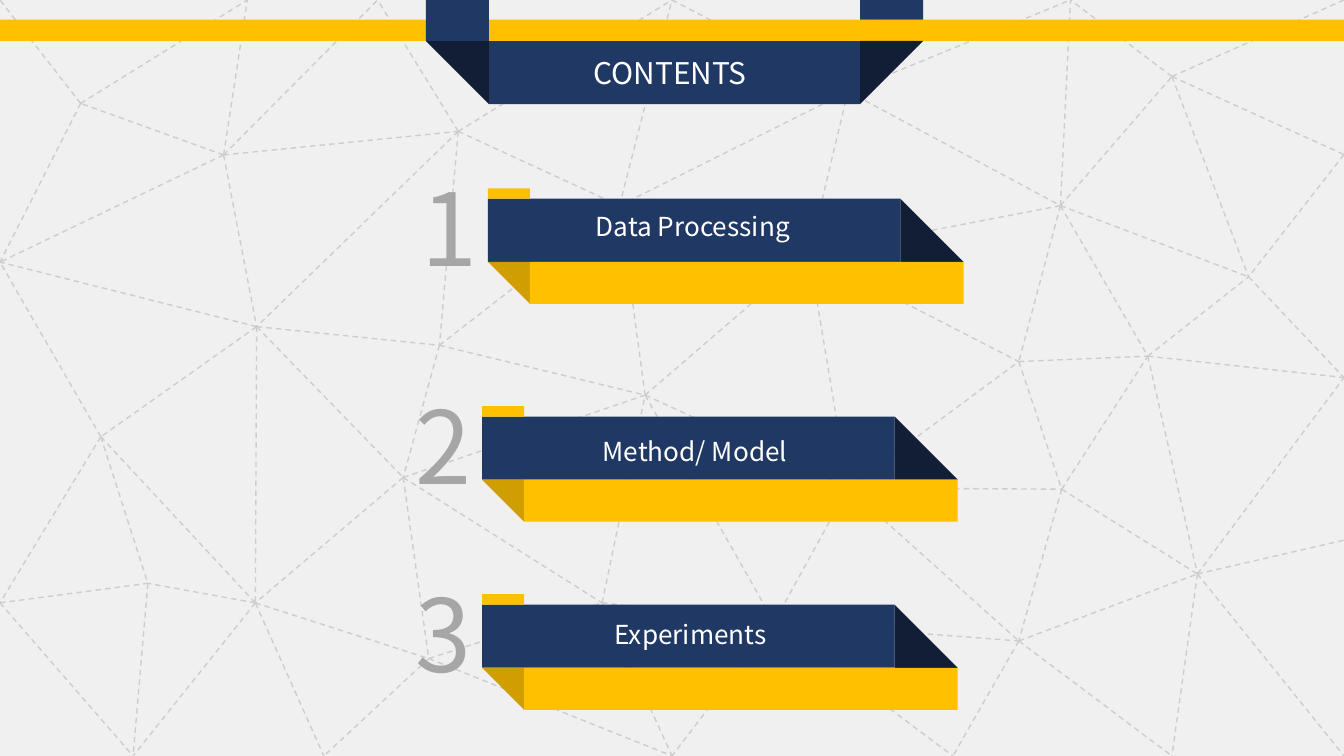
from dataclasses import dataclass

from lxml import etree
from pptx import Presentation
from pptx.dml.color import RGBColor
from pptx.enum.dml import MSO_LINE
from pptx.enum.shapes import MSO_CONNECTOR, MSO_SHAPE
from pptx.enum.text import MSO_ANCHOR, MSO_AUTO_SIZE, PP_ALIGN
from pptx.oxml.ns import qn
from pptx.util import Pt

RECT = MSO_SHAPE.RECTANGLE
FOLD = MSO_SHAPE.RIGHT_TRIANGLE
LINE = MSO_CONNECTOR.STRAIGHT
DASH = MSO_LINE.DASH
LEFT = PP_ALIGN.LEFT
MID = PP_ALIGN.CENTER
TOP = MSO_ANCHOR.TOP
GROW = MSO_AUTO_SIZE.SHAPE_TO_FIT_TEXT


@dataclass(frozen=True)
class Theme:
    font: str = "Noto Sans CJK SC"
    page: str = "F0F0F0"
    mesh: str = "CDCDCD"
    navy: str = "203864"
    dark: str = "111E35"
    gold: str = "FFC000"
    shade: str = "D09E00"
    gray: str = "A6A6A6"
    white: str = "FFFFFF"
    title: int = 16
    label: int = 14
    digit: int = 54


THEME = Theme()
WIDE, HIGH = 720, 405
SIDE = 33.8

NODES = {
    "A": (119.8, 83), "B": (132.5, 0), "C": (0, 140.4), "D": (202.3, 0),
    "E": (245.5, 70.4), "F": (137.5, 175), "G": (235.4, 185),
    "H": (216, 255.8), "I": (136.8, 323), "J": (54, 234), "K": (0, 323),
    "L": (79.2, 312.5), "M": (71.3, HIGH), "N": (229.7, 352.8),
    "O": (173.5, HIGH), "P": (322.6, 323), "Q": (360, HIGH),
    "R": (345.6, 211.7), "S": (331.9, 110.2), "T": (360, 0),
    "U": (454.3, 49), "V": (433.5, 136), "W": (454.3, 261.4),
    "X": (414.7, 333.4), "Y": (475.9, 0), "Z": (568.1, 110.2),
    "a": (545.8, 193.7), "b": (568.8, 262.1), "c": (545.8, 343.4),
    "d": (510.5, HIGH), "e": (627.8, HIGH), "f": (614.9, 190.8),
    "g": (627.8, 41), "h": (573.5, 0), "i": (WIDE, 0), "j": (WIDE, 82.8),
    "k": (668.9, 148.3), "l": (WIDE, 202.3), "m": (641.5, 307.5),
    "n": (WIDE, HIGH), "o": (WIDE, 289.4), "p": (43.2, 55.4), "q": (0, 0),
}
EDGES = {
    "A": "BCDEFp", "E": "FGSDT", "F": "CGHIJ", "G": "HRS", "H": "INPR",
    "I": "JMNOL", "J": "CKL", "K": "LM", "L": "M", "N": "OPQ", "P": "QRX",
    "R": "SVWX", "S": "TU", "T": "U", "U": "VYZh", "V": "WZa",
    "W": "Xabc", "X": "Qdc", "Z": "afgkh", "a": "bf", "b": "cmf",
    "c": "dem", "f": "klm", "g": "hijk", "j": "k", "k": "l",
    "m": "lneo", "p": "BCq",
}
ITEMS = [
    ("Data Processing", 261.4, 106.5, (310.3, 109.4, 121.7, 24.5)),
    ("Method/ Model", 258.3, 223.2, (311.8, 229.7, 121, 24.5)),
    ("Experiments", 258.3, 324, (321.8, 327.6, 96.5, 24.5)),
]


def paint(fill, color):
    fill.solid()
    fill.fore_color.rgb = RGBColor.from_string(color)


def block(slide, kind, box, color, flip="", turn=0):
    shape = slide.shapes.add_shape(kind, *map(Pt, box))
    shape.shadow.inherit = False
    paint(shape.fill, color)
    shape.line.fill.background()
    shape.rotation = turn
    for axis in flip:
        shape.element.spPr.xfrm.set(f"flip{axis}", "1")


def strand(slide, start, end):
    line = slide.shapes.add_connector(LINE, *map(Pt, start + end))
    line.line.width = Pt(0.75)
    paint(line.line.fill, THEME.mesh)
    line.line.dash_style = DASH
    etree.SubElement(line.element.spPr, qn("a:effectLst"))


def write(shape, text, size, color=THEME.white, align=LEFT):
    frame = shape.text_frame
    frame.word_wrap = False
    frame.auto_size = GROW
    frame.vertical_anchor = TOP
    para = frame.paragraphs[0]
    para.alignment = align
    run = para.add_run()
    run.text = text
    run.font.name = THEME.font
    run.font.size = Pt(size)
    run.font.color.rgb = RGBColor.from_string(color)


def note(slide, text, box, **form):
    write(slide.shapes.add_textbox(*map(Pt, box)), text, **form)


def mesh(slide):
    for start, ends in EDGES.items():
        for end in ends:
            strand(slide, NODES[start], NODES[end])


def banner(slide):
    left, right, top = 262, 460.8, 22
    block(slide, RECT, (0, 10.6, WIDE, 11.4), THEME.gold)
    block(slide, RECT, (left, top, right - left, SIDE), THEME.navy)
    block(slide, FOLD, (right, top, SIDE, SIDE), THEME.dark, flip="V")
    block(slide, RECT, (right, 0, SIDE, 10.6), THEME.navy)
    block(slide, FOLD, (left - SIDE, top, SIDE, SIDE), THEME.dark, flip="HV")
    block(slide, RECT, (left - SIDE, 0, SIDE, top), THEME.navy)
    title = slide.shapes.title
    title.left, title.top, title.width, title.height = map(
        Pt, (310.8, 25.7, 101, 26.7))
    write(title, "CONTENTS", size=THEME.title)
    slide.shapes.element.append(title.element)


def ribbon(slide, count, text, left, top, box):
    body, tab = 221, 22.5
    base = top + SIDE
    block(slide, RECT, (left, top, body, SIDE), THEME.navy)
    block(slide, FOLD, (left + body, top, SIDE, SIDE), THEME.dark)
    block(slide, FOLD, (left, base, tab, tab), THEME.shade, flip="V", turn=90)
    block(slide, RECT, (left + tab, base, body + SIDE - tab, tab), THEME.gold)
    block(slide, RECT, (left, top - 5.6, tab, 5.6), THEME.gold)
    note(slide, text, box, size=THEME.label, align=MID)
    note(slide, str(count), (left - 44, top - 21.4, 46.8, 72.7),
         size=THEME.digit, color=THEME.gray, align=MID)


def main():
    deck = Presentation()
    deck.slide_width, deck.slide_height = Pt(WIDE), Pt(HIGH)
    slide = deck.slides.add_slide(deck.slide_layouts[5])
    paint(slide.background.fill, THEME.page)
    mesh(slide)
    banner(slide)
    for count, item in enumerate(ITEMS, 1):
        ribbon(slide, count, *item)
    deck.save("out.pptx")


if __name__ == "__main__":
    main()
